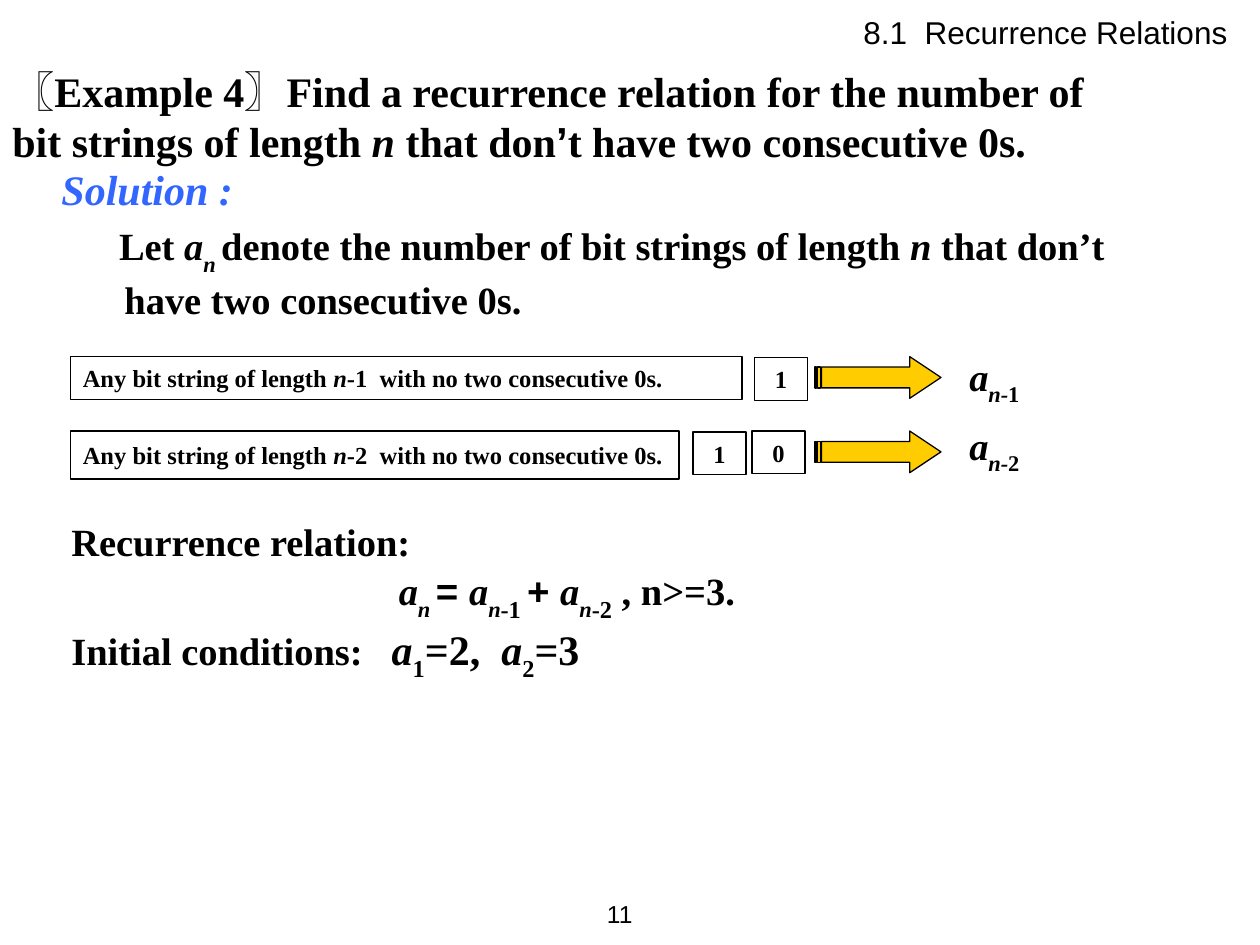
from pptx import Presentation
from pptx.dml.color import RGBColor
from pptx.enum.shapes import MSO_SHAPE
from pptx.enum.text import MSO_ANCHOR, PP_ALIGN
from pptx.util import Cm, Pt

SERIF, SANS = "Times New Roman", "Arial"
BLACK, BLUE, GOLD = "000000", "3366FF", "FFCC00"

# Content: a run is (text, flags, size); flags: i italic, b bold, a Arial, s subscript
HEADER = [("8.1  Recurrence Relations", "a", 18)]
NUMBER = [("11", "a", 14)]
EXAMPLE = [
    ("〖", "ba", 24), ("Example 4", "b", 24), ("〗", "ba", 24),
    ("Find a recurrence relation for the number of bit strings of length ", "b", 24),
    ("n", "bi", 24), (" that don", "b", 24), ("’", "ba", 24),
    ("t have two consecutive 0s.", "b", 24),
]
SOLUTION = [("Solution :", "bi", 24)]
LET = [
    ("Let ", "b", 22), ("a", "bi", 22), ("n ", "bis", 22),
    ("denote the number of bit strings of length ", "b", 22),
    ("n", "bi", 22), (" that don’t have two consecutive 0s.", "b", 22),
]
RELATION = [("Recurrence relation:", "b", 22)]
FORMULA = [
    ("a", "bi", 22), ("n ", "bis", 22), ("= ", "ba", 22),
    ("a", "bi", 22), ("n", "bis", 22), ("-1 ", "bs", 24), ("+ ", "ba", 22),
    ("a", "bi", 22), ("n", "bis", 22), ("-2", "bs", 24), (" , n>=3.", "b", 22),
]
INITIAL = [
    ("Initial conditions:   ", "b", 22),
    ("a", "bi", 24), ("1", "bs", 24), ("=2,  ", "b", 24),
    ("a", "bi", 24), ("2", "bs", 24), ("=3", "b", 24),
]
# Cases: removed bits, top, string box (width, height), bits as (digit, left, top)
CASES = [
    ("1", 7.19, (13.54, 0.86), [("1", 15.21, 7.21)], 6.99),
    ("2", 8.69, (12.27, 0.97), [("1", 13.97, 8.71), ("0", 15.16, 8.69)], 8.38),
]


def color(hex_text):
    return RGBColor.from_string(hex_text)


def write(p, runs, ink=BLACK, align=PP_ALIGN.LEFT, before=0, margin=0, indent=0):
    p.alignment = align
    p.space_before = Pt(before)
    pPr = p._p.get_or_add_pPr()
    pPr.set("marL", str(Cm(margin)))
    pPr.set("indent", str(Cm(indent)))
    for text, flags, size in runs:
        r = p.add_run()
        r.text = text
        r.font.name = SANS if "a" in flags else SERIF
        r.font.size = Pt(size)
        r.font.bold = "b" in flags
        r.font.italic = "i" in flags
        r.font.color.rgb = color(ink)
        if "s" in flags:
            r.font._element.set("baseline", "-30000")


def text_box(left, top, width, height, *paragraphs):
    sp = s.shapes.add_textbox(Cm(left), Cm(top), Cm(width), Cm(height))
    tf = sp.text_frame
    tf.word_wrap = True
    for i, (runs, options) in enumerate(paragraphs):
        write(tf.add_paragraph() if i else tf.paragraphs[0], runs, **options)
    return tf


def outlined(kind, left, top, width, height, fill=None):
    sp = s.shapes.add_shape(kind, Cm(left), Cm(top), Cm(width), Cm(height))
    sp.shadow.inherit = False
    sp.line.color.rgb = color(BLACK)
    sp.line.width = Pt(0.75)
    if fill:
        sp.fill.solid()
        sp.fill.fore_color.rgb = color(fill)
    else:
        sp.fill.background()
    return sp


def labelled(left, top, width, height, runs, align):
    tf = outlined(MSO_SHAPE.RECTANGLE, left, top, width, height).text_frame
    tf.word_wrap = True
    tf.vertical_anchor = MSO_ANCHOR.MIDDLE
    write(tf.paragraphs[0], runs, align=align)


prs = Presentation()
prs.slide_width, prs.slide_height = Cm(25.4), Cm(19.05)
s = prs.slides.add_slide(prs.slide_layouts[5])

# Section heading
title = s.shapes.title
title.left, title.top, title.width, title.height = Cm(17.15), Cm(0.13), Cm(8.26), Cm(1.02)
title.text_frame.vertical_anchor = MSO_ANCHOR.TOP
title.text_frame.word_wrap = True
write(title.text_frame.paragraphs[0], HEADER)

# Problem and start of the solution
text_box(0, 1.19, 22.86, 2.31, (EXAMPLE, {}))
text_box(0.99, 3.18, 23.06, 3.33,
         (SOLUTION, {"ink": BLUE}),
         (LET, {"before": 4.4, "margin": 1.27, "indent": -0.11}))

# The two cases: string box, ending bits, arrow and count
for less, top, (width, height), bits, label_top in CASES:
    string = [("Any bit string of length ", "b", 14), ("n", "bi", 14),
              (f"-{less}  with no two consecutive 0s.", "b", 14)]
    labelled(1.42, top, width, height, string, PP_ALIGN.LEFT)
    for digit, left, bit_top in bits:
        labelled(left, bit_top, 1.07, 0.86, [(digit, "b", 14)], PP_ALIGN.CENTER)
    arrow = outlined(MSO_SHAPE.STRIPED_RIGHT_ARROW, 16.43, top, 2.54, 0.84, GOLD)
    arrow.adjustments[0], arrow.adjustments[1] = 0.5, 0.75
    count = [("a", "bi", 22), ("n-", "bis", 22), (less, "bs", 22)]
    text_box(17.93, label_top, 3.18, 1.19, (count, {"margin": 1.36}))

# Result
text_box(1.19, 10.31, 23.06, 3.15,
         (RELATION, {}), (FORMULA, {"margin": 6.6}), (INITIAL, {}))

# Slide number
tf = text_box(11.3, 17.78, 1.7, 1.27, (NUMBER, {"align": PP_ALIGN.RIGHT}))
tf.vertical_anchor = MSO_ANCHOR.MIDDLE

prs.save("out.pptx")
